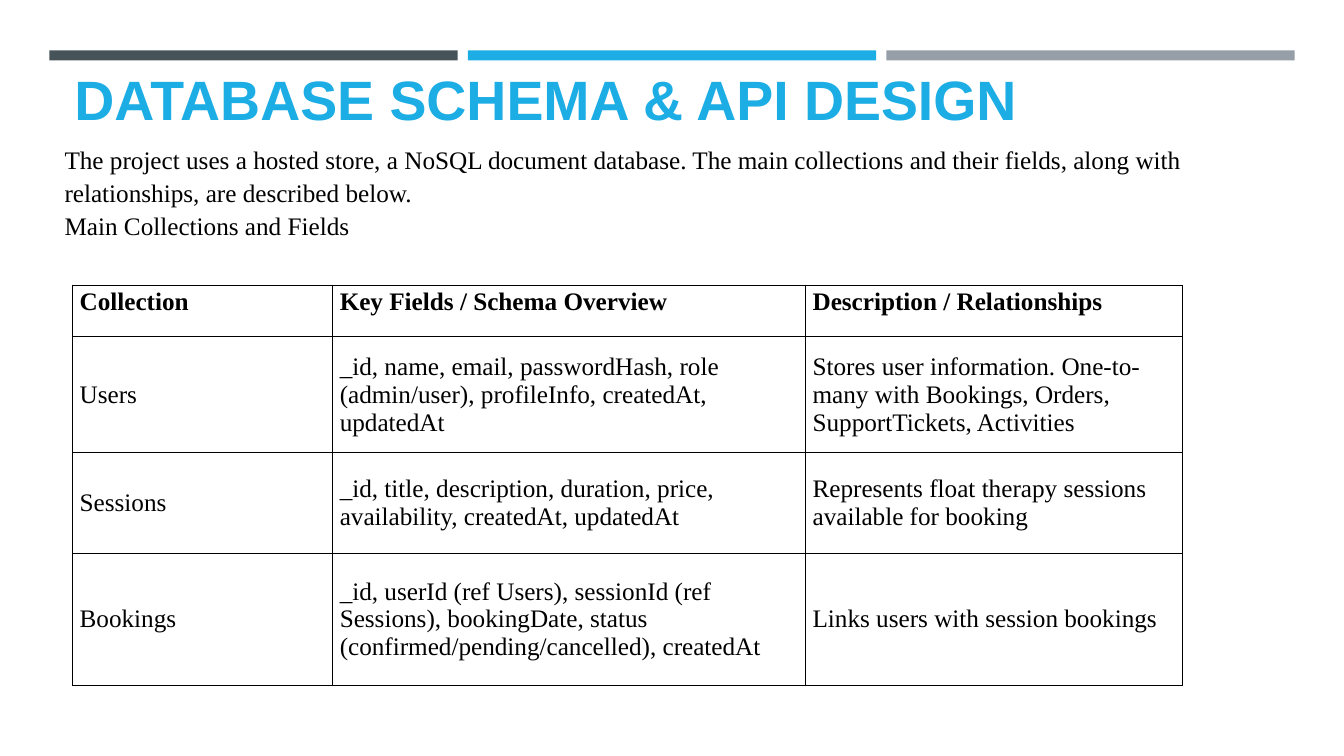
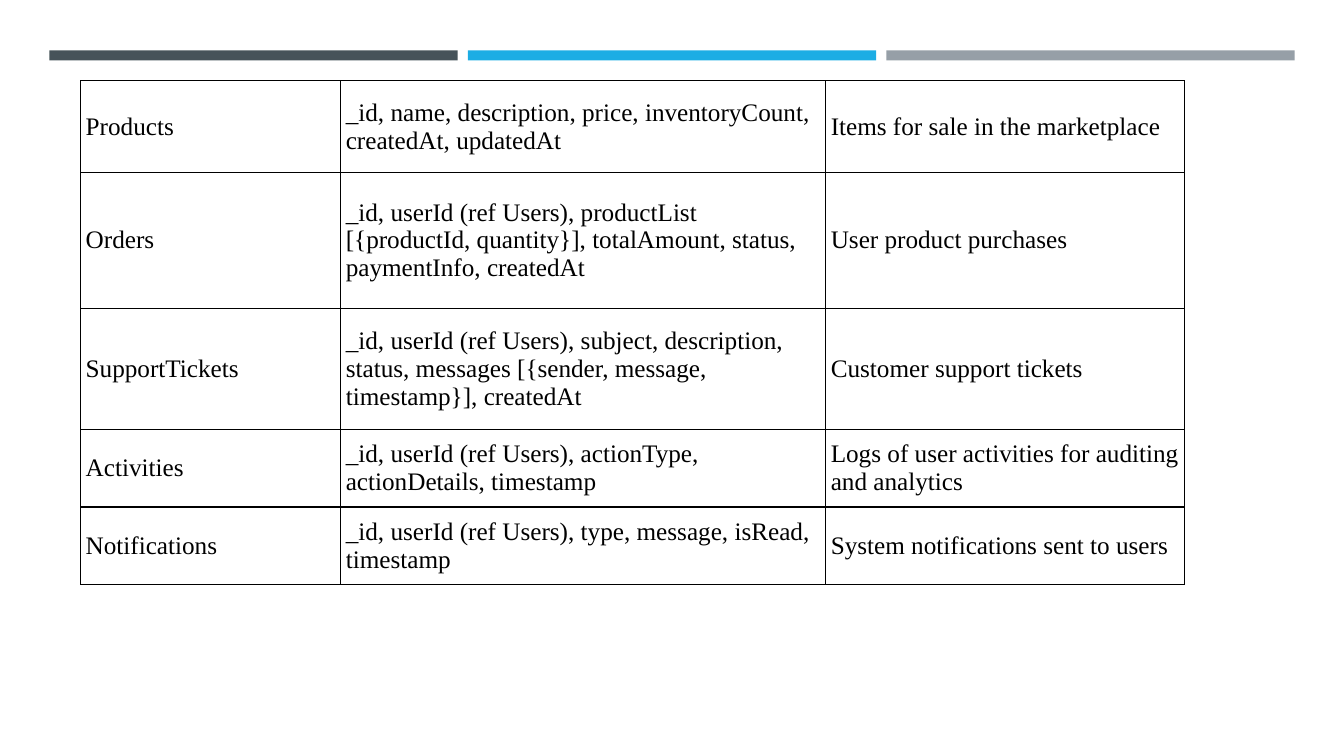
from dataclasses import dataclass

from lxml import etree
from pptx import Presentation
from pptx.dml.color import RGBColor
from pptx.enum.shapes import MSO_SHAPE
from pptx.enum.text import MSO_ANCHOR as Anchor
from pptx.oxml.ns import qn
from pptx.util import Inches, Pt


@dataclass(frozen=True)
class Theme:
    slate: str = "465359"
    blue: str = "1CADE4"
    gray: str = "969FA7"
    black: str = "000000"
    title_font: str = "Arial"
    body_font: str = "Times New Roman"
    title_size: float = 39.6
    body_size: float = 18
    border: float = 1


THEME = Theme()
BAND_LEFT, BAND_TOP, BAND_WIDTH, BAND_HEIGHT, BAND_STEP = 0.49, 0.5, 4.05, 0.1, 4.15


def style_text(frame, font, size, color, bold=False):
    for para in frame.paragraphs:
        for span in para.runs:
            span.font.name = font
            span.font.size = Pt(size)
            span.font.bold = bold
            span.font.color.rgb = RGBColor.from_string(color)


def add_grid(page, left, top, widths, heights, rows, margins, header=False):
    """Add an unfilled table with thin borders on every cell."""
    table = page.shapes.add_table(
        len(rows), len(widths), Inches(left), Inches(top),
        Inches(sum(widths)), Inches(sum(heights))).table
    table.first_row = header
    table.horz_banding = False
    for column, width in zip(table.columns, widths):
        column.width = Inches(width)
    for row, height in zip(table.rows, heights):
        row.height = Inches(height)

    side, edge = (Inches(margin) for margin in margins)
    for row_index, texts in enumerate(rows):
        is_header = header and row_index == 0
        for column_index, text in enumerate(texts):
            cell = table.cell(row_index, column_index)
            cell.text_frame.text = text
            cell.margin_left = cell.margin_right = side
            cell.margin_top = cell.margin_bottom = edge
            cell.vertical_anchor = Anchor.TOP if is_header else Anchor.MIDDLE
            style_text(cell.text_frame, THEME.body_font, THEME.body_size,
                       THEME.black, is_header)
            properties = cell._tc.get_or_add_tcPr()
            for name in ("a:lnL", "a:lnR", "a:lnT", "a:lnB"):
                line = etree.SubElement(properties, qn(name), w=str(Pt(THEME.border)))
                fill = etree.SubElement(line, qn("a:solidFill"))
                etree.SubElement(fill, qn("a:srgbClr"), val=THEME.black)
            cell.fill.background()


deck = Presentation()
deck.slide_width = Inches(13.33)
deck.slide_height = Inches(7.5)
blank = deck.slide_layouts[6]
schema_page, more_page = [deck.slides.add_slide(blank) for _ in range(2)]

# Bands shared by both slides
for page in (schema_page, more_page):
    for index, color in enumerate((THEME.slate, THEME.blue, THEME.gray)):
        band = page.shapes.add_shape(
            MSO_SHAPE.RECTANGLE, Inches(BAND_LEFT + index * BAND_STEP),
            Inches(BAND_TOP), Inches(BAND_WIDTH), Inches(BAND_HEIGHT))
        band.shadow.inherit = False
        band.fill.solid()
        band.fill.fore_color.rgb = RGBColor.from_string(color)
        band.line.fill.background()

# Slide 1: title, introduction and main collections
title = schema_page.shapes.add_textbox(
    Inches(0.64), Inches(0.77), Inches(12.06), Inches(0.58)).text_frame
title.word_wrap = True
title.vertical_anchor = Anchor.BOTTOM
title.text = "DATABASE SCHEMA & API DESIGN"
style_text(title, THEME.title_font, THEME.title_size, THEME.blue, bold=True)

intro = schema_page.shapes.add_textbox(
    Inches(0.64), Inches(1.35), Inches(11.32), Inches(1.31)).text_frame
intro.word_wrap = True
intro.vertical_anchor = Anchor.TOP
intro.margin_left = intro.margin_right = 0
intro.text = (
    "The project uses a hosted store, a NoSQL document database. The main "
    "collections and their fields, along with relationships, are described below.\n"
    "Main Collections and Fields")
for para in intro.paragraphs:
    para.line_spacing = 1.1
style_text(intro, THEME.body_font, THEME.body_size, THEME.black)

add_grid(
    schema_page, 0.72, 2.83, (2.58, 4.69, 3.74), (0.51, 1.15, 1, 1.31),
    [
        ("Collection", "Key Fields / Schema Overview", "Description / Relationships"),
        ("Users",
         "_id, name, email, passwordHash, role (admin/user), profileInfo, "
         "createdAt, updatedAt",
         "Stores user information. One-to-many with Bookings, Orders, "
         "SupportTickets, Activities"),
        ("Sessions",
         "_id, title, description, duration, price, availability, createdAt, updatedAt",
         "Represents float therapy sessions available for booking"),
        ("Bookings",
         "_id, userId (ref Users), sessionId (ref Sessions), bookingDate, status "
         "(confirmed/pending/cancelled), createdAt",
         "Links users with session bookings"),
    ],
    margins=(0.07, 0.03), header=True)

# Slide 2: remaining collections
add_grid(
    more_page, 0.8, 0.8, (2.58, 4.81, 3.56), (0.91, 1.35, 1.2, 0.77, 0.77),
    [
        ("Products",
         "_id, name, description, price, inventoryCount, createdAt, updatedAt",
         "Items for sale in the marketplace"),
        ("Orders",
         "_id, userId (ref Users), productList [{productId, quantity}], "
         "totalAmount, status, paymentInfo, createdAt",
         "User product purchases"),
        ("SupportTickets",
         "_id, userId (ref Users), subject, description, status, messages "
         "[{sender, message, timestamp}], createdAt",
         "Customer support tickets"),
        ("Activities",
         "_id, userId (ref Users), actionType, actionDetails, timestamp",
         "Logs of user activities for auditing and analytics"),
        ("Notifications",
         "_id, userId (ref Users), type, message, isRead, timestamp",
         "System notifications sent to users"),
    ],
    margins=(0.05, 0.02))

deck.save("out.pptx")
